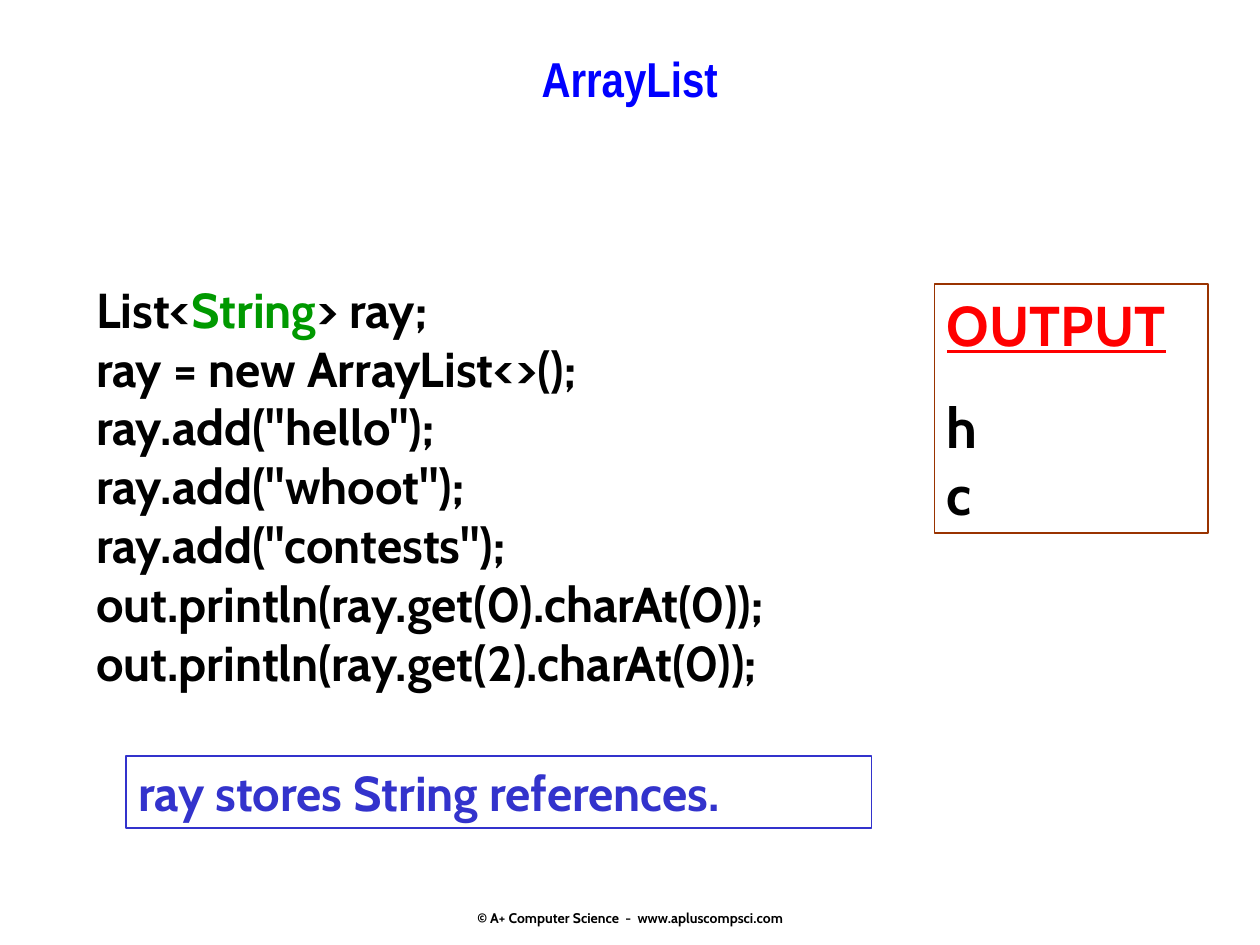
"""Build the ArrayList slide with its code, output panel and remark."""
from dataclasses import dataclass
from typing import Optional

import pptx
import pptx.dml.color
import pptx.enum.shapes
import pptx.enum.text
import pptx.util

Cm = pptx.util.Cm
Pt = pptx.util.Pt
Color = pptx.dml.color.RGBColor
Align = pptx.enum.text.PP_ALIGN
Anchor = pptx.enum.text.MSO_ANCHOR
AutoSize = pptx.enum.text.MSO_AUTO_SIZE


@dataclass(frozen=True)
class Theme:
    """Fonts, type sizes and colours of the slide."""
    title_font: str = "Arial Narrow"
    body_font: str = "Cabin"
    body_size: int = 28
    output_size: int = 32
    footer_size: int = 8
    text: Color = Color(0, 0, 0)
    title: Color = Color(0, 0, 0xFF)
    type_name: Color = Color(0, 0x99, 0)
    remark: Color = Color(0x33, 0x33, 0xCC)
    heading: Color = Color(0xFF, 0, 0)
    output_border: Color = Color(0x99, 0x33, 0)


THEME = Theme()


@dataclass(frozen=True)
class Run:
    """A piece of text in one style."""
    text: str
    color: Color = THEME.text
    size: int = THEME.body_size
    font: str = THEME.body_font
    underline: bool = False


@dataclass(frozen=True)
class Line:
    """A paragraph made of runs."""
    runs: tuple[Run, ...]
    space_before: int = 0


@dataclass(frozen=True)
class Box:
    """A block of text with its place in centimetres and optional border."""
    left: float
    top: float
    width: float
    height: float
    lines: tuple[Line, ...]
    border: Optional[Color] = None
    align: Align = Align.LEFT
    anchor: Anchor = Anchor.TOP
    bottom_inset: float = 0.13
    auto_size: AutoSize = AutoSize.SHAPE_TO_FIT_TEXT


TITLE = Box(2.96, 0.85, 19.47, 2.12,
            (Line((Run("ArrayList", THEME.title, font=THEME.title_font),)),),
            align=Align.CENTER, auto_size=AutoSize.NONE)

CODE_LINES = (
    "ray = new ArrayList<>();",
    'ray.add("hello");',
    'ray.add("whoot");',
    'ray.add("contests");',
    "out.println(ray.get(0).charAt(0));",
    "out.println(ray.get(2).charAt(0));",
)

BOXES = (
    Box(8.68, 17.36, 8.06, 1.32,
        (Line((Run("© A+ Computer Science  -  www.apluscompsci.com", size=THEME.footer_size),)),),
        align=Align.CENTER, anchor=Anchor.BOTTOM, bottom_inset=0, auto_size=AutoSize.NONE),
    Box(1.69, 5.5, 24.34, 8.56,
        (Line((Run("List<"), Run("String", THEME.type_name), Run("> ray;"))),
         *(Line((Run(code),)) for code in CODE_LINES))),
    Box(2.54, 15.24, 15.03, 1.45,
        (Line((Run("ray stores String references.", THEME.remark),)),),
        border=THEME.remark),
    Box(18.84, 5.72, 5.51, 5.03,
        (Line((Run("OUTPUT", THEME.heading, THEME.output_size, underline=True),)),
         Line((Run("h", size=THEME.output_size),), space_before=20),
         Line((Run("c", size=THEME.output_size),))),
        border=THEME.output_border),
)


def write_text(shape: pptx.shapes.base.BaseShape, box: Box) -> None:
    """Fill a shape with the lines of a box."""
    frame = shape.text_frame
    frame.word_wrap = True
    frame.auto_size = box.auto_size
    frame.vertical_anchor = box.anchor
    frame.margin_left = frame.margin_right = Cm(0.25)
    frame.margin_top = Cm(0.13)
    frame.margin_bottom = Cm(box.bottom_inset)
    for index, line in enumerate(box.lines):
        paragraph = frame.add_paragraph() if index else frame.paragraphs[0]
        paragraph.alignment = box.align
        paragraph.space_before = Pt(line.space_before)
        for item in line.runs:
            run = paragraph.add_run()
            run.text = item.text
            run.font.name = item.font
            run.font.size = Pt(item.size)
            run.font.bold = True
            run.font.underline = item.underline
            run.font.color.rgb = item.color


def draw_box(slide: pptx.slide.Slide, box: Box) -> None:
    """Add a plain text box, or a rectangle where there is a border."""
    place = Cm(box.left), Cm(box.top), Cm(box.width), Cm(box.height)
    if box.border is None:
        shape = slide.shapes.add_textbox(*place)
    else:
        shape = slide.shapes.add_shape(pptx.enum.shapes.MSO_SHAPE.RECTANGLE, *place)
        shape.shadow.inherit = False
        shape.fill.background()
        shape.line.color.rgb = box.border
        shape.line.width = Pt(1)
    write_text(shape, box)


def draw_title(slide: pptx.slide.Slide, box: Box) -> None:
    """Place and fill the title placeholder."""
    title = slide.shapes.title
    title.left, title.top = Cm(box.left), Cm(box.top)
    title.width, title.height = Cm(box.width), Cm(box.height)
    write_text(title, box)


def main() -> None:
    """Build and save the presentation."""
    presentation = pptx.Presentation()
    presentation.slide_width, presentation.slide_height = Cm(25.4), Cm(19.05)
    slide = presentation.slides.add_slide(presentation.slide_layouts[5])
    draw_title(slide, TITLE)
    for box in BOXES:
        draw_box(slide, box)
    presentation.save("out.pptx")


if __name__ == "__main__":
    main()
